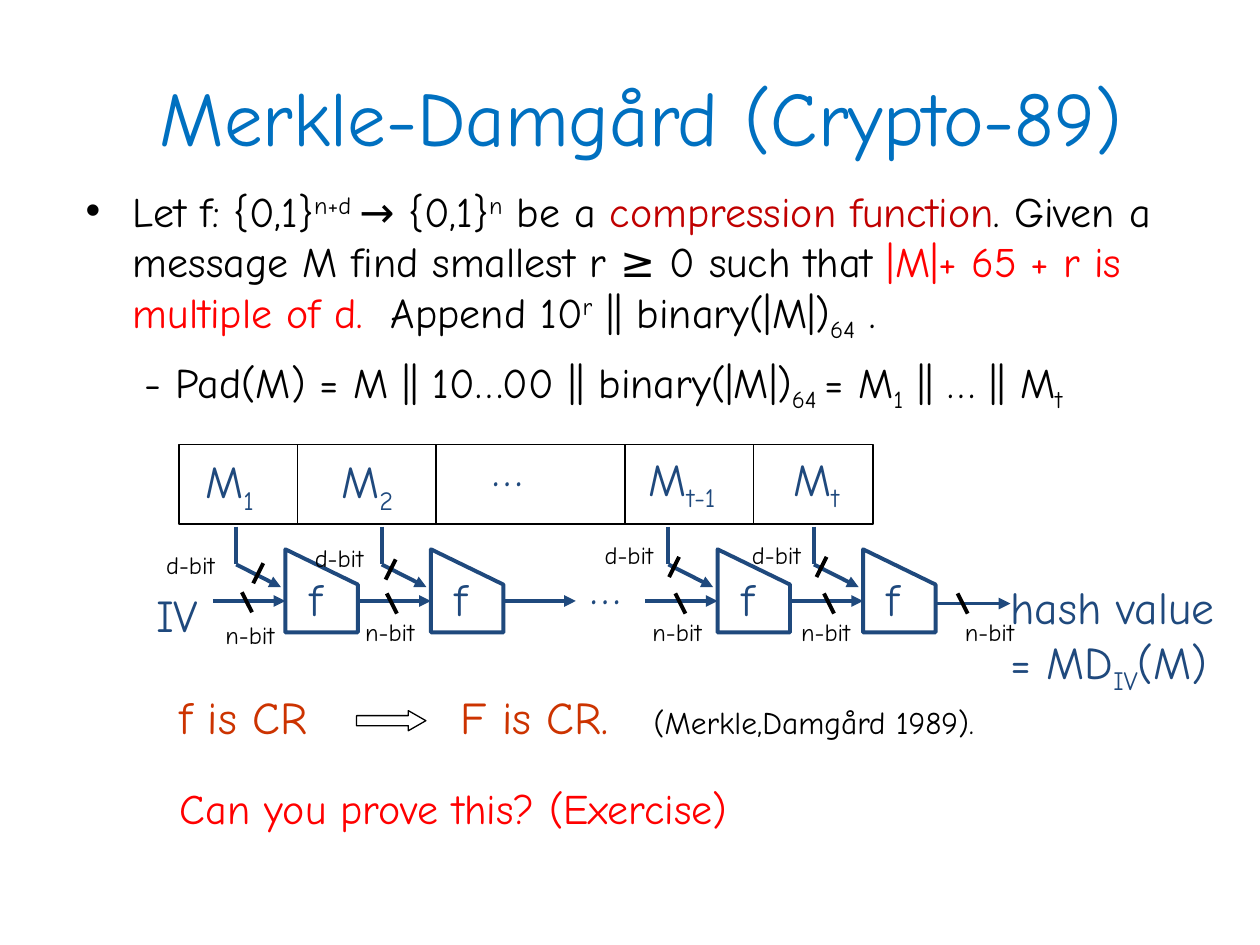
from lxml import etree
from pptx import Presentation, util as u
from pptx.dml.color import RGBColor
from pptx.enum import shapes, text
from pptx.oxml import ns

NAVY, BLACK, RED, BLUE = "1F497D", "000000", "FF0000", "0070C0"
SUB, SUPER = -25, 30
COLUMNS, ROWS = 100, 75


def colour(value):
    return RGBColor.from_string(value)


def add_element(parent, tag, **attributes):
    return etree.SubElement(parent, ns.qn(tag), attributes)


class Board:
    font = "Comic Neue"

    def __init__(self):
        self.presentation = Presentation()
        self.presentation.slide_width = u.Inches(10)
        self.presentation.slide_height = u.Inches(7.5)
        self.slide = self.presentation.slides.add_slide(self.presentation.slide_layouts[1])

    def x(self, column):
        return round(self.presentation.slide_width * column / COLUMNS)

    def y(self, row):
        return round(self.presentation.slide_height * row / ROWS)

    def box(self, left, top, width, height):
        return self.x(left), self.y(top), self.x(width), self.y(height)

    def add_runs(self, paragraph, runs, size, base_colour):
        for content, *changes in runs:
            values = dict(size=size, colour=base_colour, baseline=0)
            values.update(changes[0] if changes else {})
            run = paragraph.add_run()
            run.text = content
            run.font.color.rgb = colour(values["colour"])
            for name, value in dict(name=self.font, size=u.Pt(values["size"])).items():
                setattr(run.font, name, value)
            if values["baseline"]:
                run._r.get_or_add_rPr().set("baseline", str(values["baseline"] * 1000))

    def fill_frame(self, frame, paragraphs, size, base_colour):
        settings = dict(word_wrap=True, auto_size=text.MSO_AUTO_SIZE.NONE,
                        vertical_anchor=text.MSO_ANCHOR.TOP)
        for name, value in settings.items():
            setattr(frame, name, value)
        for index, runs in enumerate(paragraphs):
            paragraph = frame.add_paragraph() if index else frame.paragraphs[0]
            paragraph.space_before = u.Pt(0)
            self.add_runs(paragraph, runs, size, base_colour)
        return frame

    def placeholder(self, index, place, runs, size, base_colour):
        shape = self.slide.placeholders[index]
        for name, value in zip(("left", "top", "width", "height"), self.box(*place)):
            setattr(shape, name, value)
        self.fill_frame(shape.text_frame, [runs], size, base_colour)

    def label(self, place, *paragraphs, size=26, base_colour=NAVY):
        shape = self.slide.shapes.add_textbox(*self.box(*place))
        return self.fill_frame(shape.text_frame, paragraphs, size, base_colour)

    def line(self, start, end, line_colour=NAVY, width=2.25, arrow=False):
        connector = self.slide.shapes.add_connector(
            shapes.MSO_CONNECTOR.STRAIGHT, self.x(start[0]), self.y(start[1]),
            self.x(end[0]), self.y(end[1]))
        connector.line.color.rgb = colour(line_colour)
        connector.line.width = u.Pt(width)
        if arrow:
            add_element(connector.line._get_or_add_ln(), "a:tailEnd", type="triangle")
        add_element(connector._element.spPr, "a:effectLst")

    def outline(self, shape, line_colour, width):
        shape.shadow.inherit = False
        shape.fill.background()
        shape.line.color.rgb = colour(line_colour)
        shape.line.width = u.Pt(width)

    def shape(self, kind, place, adjustments=()):
        shape = self.slide.shapes.add_shape(kind, *self.box(*place))
        for index, value in enumerate(adjustments):
            shape.adjustments[index] = value
        self.outline(shape, BLACK, 0.75)

    def polygon(self, points):
        corners = [(self.x(column), self.y(row)) for column, row in points]
        builder = self.slide.shapes.build_freeform(*corners[0])
        builder.add_line_segments(corners[1:], close=True)
        self.outline(builder.convert_to_shape(), NAVY, 2.25)

    def bits(self, tick, label, name, lean):
        column, row = tick
        self.line((column, row), (column + lean, row + 1.6), BLACK)
        self.label((*label, 8.7, 3.3), [(name,)], size=14, base_colour=BLACK)

    def stage(self, left, data_tick, data_label, state_tick, state_label):
        near, far = left + 5.75, left + 11.5
        self.polygon([(near, 43.6), (far, 46.4), (far, 50.2), (near, 50.2)])
        self.line((left, 47.7), (near, 47.7), arrow=True)
        self.line((left + 1.85, 41.8), (left + 1.85, 44.8))
        self.line((left + 1.85, 44.8), (left + 5.4, 46.6), arrow=True)
        self.label((left + 6.65, 44.8, 3.9, 5.3), [("f",)])
        self.bits(data_tick, data_label, "d-bit", -0.8)
        self.bits(state_tick, state_label, "n-bit", 0.8)


def main():
    board = Board()
    low, high = dict(baseline=SUB), dict(baseline=SUPER)

    board.placeholder(0, (1.8, 5, 98.2, 12.5), [("Merkle-Damgård (Crypto-89)",)], 44, BLUE)
    board.placeholder(1, (5.8, 14.2, 89.2, 45), [
        ("Let f: {0,1}",), ("n+d ", high), ("→ {0,1}",), ("n", high), (" be a ",),
        ("compression function", dict(colour="C00000")),
        (". Given a message M find smallest r ≥ 0 such that ",),
        ("|M|+ 65 + r is multiple of d.", dict(colour=RED)),
        ("  Append 10",), ("r", high), (" || binary(|M|)",), ("64", low), (" .",),
    ], 24, BLACK)
    board.label((10.5, 27.8, 85.8, 5), [
        ("- Pad(M) = M || 10…00 || binary(|M|)",), ("64 ", low), ("= M",), ("1", low),
        (" || … || M",), ("t", low),
    ], size=24, base_colour=BLACK)

    board.shape(shapes.MSO_SHAPE.RECTANGLE, (14.2, 35.3, 55.1, 6.3))
    for divider in (23.6, 34.6, 49.6, 59.8):
        board.line((divider, 35.3), (divider, 41.6), BLACK, 0.75)
    for left, top, index in ((15.3, 35.5, "1"), (26.1, 35.5, "2"),
                             (50.5, 35.3, "t-1"), (62, 35.3, "t")):
        board.label((left, top, 9, 5.3), [("M",), (index, low)])
    for left, top in ((38.1, 34.5), (45.9, 43.9)):
        board.label((left, top, 6, 5.3), [("…",)])

    stages = (
        (16.9, (20.9, 44.7), (12.2, 43.2), (19.2, 47), (16.9, 48.7)),
        (28.45, (31.4, 44.4), (24, 42.6), (30.7, 47.1), (28, 48.5)),
        (51.2, (53.9, 44.2), (47, 42.4), (53.6, 47.1), (50.8, 48.5)),
        (62.75, (65.6, 44.2), (58.7, 42.4), (65.4, 47.1), (62.6, 48.5)),
    )
    for stage in stages:
        board.stage(*stage)
    board.line((39.9, 47.7), (45.7, 47.7), arrow=True)
    board.line((74.4, 47.9), (80.2, 47.9), arrow=True)
    board.bits((76, 47.1), (75.6, 48.5), "n-bit", 0.8)
    board.label((11.4, 46.1, 6.3, 5.3), [("IV",)])
    board.label((79.2, 45.5, 19.5, 9.8), [("hash value",)],
                [("= MD",), ("IV", low), ("(M)",)])

    conclusion = board.label(
        (13.3, 54.2, 68.4, 12.5),
        [("f is CR\tF is CR.\t",),
         ("(Merkle,Damgård 1989).", dict(size=18, colour=BLACK))],
        [("Can you prove this? (Exercise)", dict(size=24, colour=RED))],
        base_colour="CC3300")
    claim, question = conclusion.paragraphs
    tabs = add_element(claim._p.get_or_add_pPr(), "a:tabLst")
    for column in (22.3, 37.6):
        add_element(tabs, "a:tab", pos=str(board.x(column)), algn="l")
    question.space_before = u.Pt(22)
    board.shape(shapes.MSO_SHAPE.RIGHT_ARROW, (28.3, 56.4, 5.5, 1.6), (0.5, 0.87))

    board.presentation.save("out.pptx")


if __name__ == "__main__":
    main()
